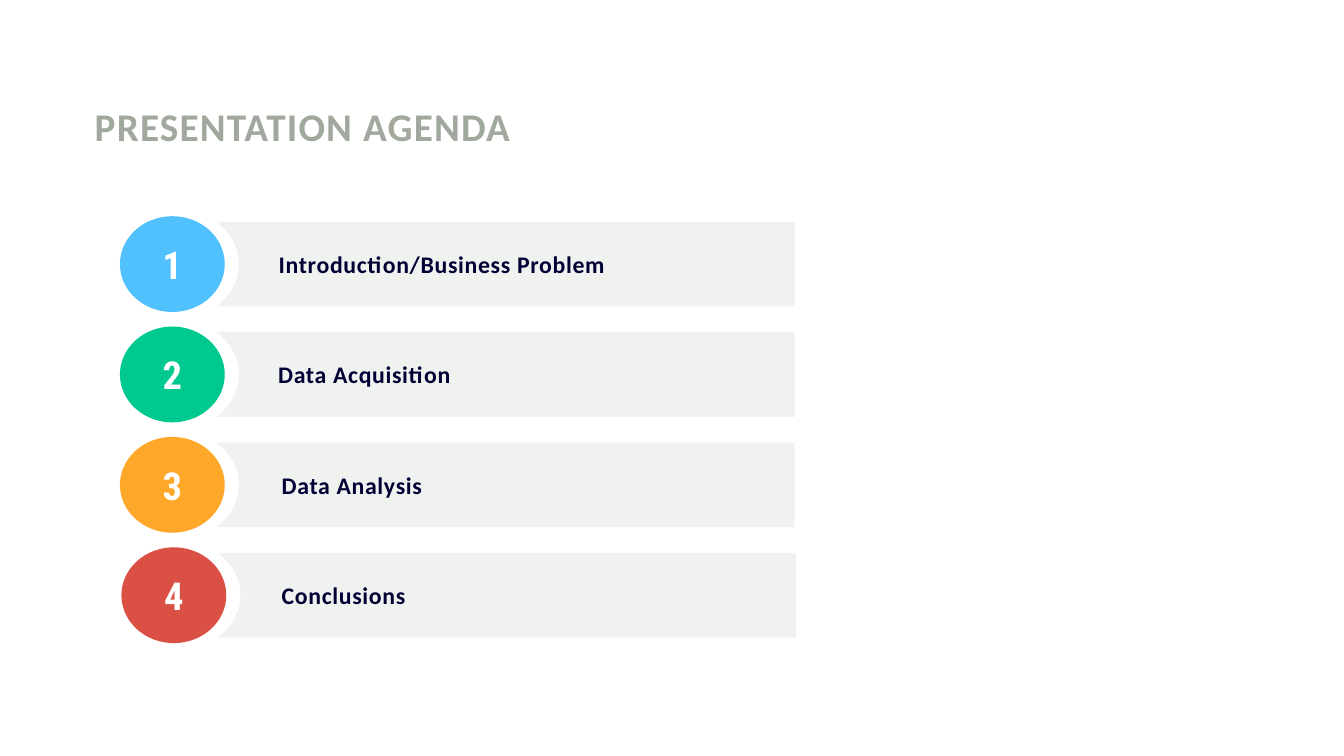
"""Build the presentation agenda slide with four numbered rows."""
from dataclasses import dataclass

from lxml import etree
from pptx import Presentation
from pptx.dml.color import RGBColor
from pptx.enum.shapes import MSO_SHAPE
from pptx.enum.text import MSO_ANCHOR, MSO_AUTO_SIZE, PP_ALIGN
from pptx.oxml.ns import qn
from pptx.shapes.autoshape import Shape
from pptx.slide import Slide
from pptx.util import Inches, Pt

RECTANGLE, OVAL = MSO_SHAPE.RECTANGLE, MSO_SHAPE.OVAL
LEFT, CENTER = PP_ALIGN.LEFT, PP_ALIGN.CENTER
MIDDLE = MSO_ANCHOR.MIDDLE
NO_AUTOFIT = MSO_AUTO_SIZE.NONE

COLORS = {
    "sage": "A1A99E",
    "white": "FFFFFF",
    "navy": "000034",
    "blue": "51C1FD",
    "green": "00C98F",
    "orange": "FFA728",
    "red": "DA5045",
}
FIRST_TOP = 4.12
ROW_PITCH = 2.19
BAR_OPACITY = 15
MARGIN = 0.06


@dataclass(frozen=True)
class TextStyle:
    font: str
    size: float
    color: str
    spacing: float
    align: PP_ALIGN = LEFT


@dataclass(frozen=True)
class AgendaItem:
    label: str
    color: str
    label_left: float
    shift: float = 0


TITLE = TextStyle("Calibri", 56, "sage", 1.7)
LABEL = TextStyle("Calibri", 34, "navy", 1)
NUMBER = TextStyle("Roboto Condensed", 55, "white", 3.3, CENTER)

AGENDA = [
    AgendaItem("Introduction/Business Problem", "blue", 5.47),
    AgendaItem("Data Acquisition", "green", 5.46),
    AgendaItem("Data Analysis", "orange", 5.53),
    AgendaItem("Conclusions", "red", 5.53, 0.03),
]


def write_text(box: Shape, text: str, style: TextStyle) -> None:
    """Write one bold, letter-spaced line into a shape."""
    frame = box.text_frame
    frame.word_wrap = True
    frame.auto_size = NO_AUTOFIT
    frame.vertical_anchor = MIDDLE
    frame.margin_left = frame.margin_right = Inches(MARGIN)
    frame.margin_top = frame.margin_bottom = Inches(MARGIN)
    para = frame.paragraphs[0]
    para.alignment = style.align
    para.font.name = style.font
    para.font.size = Pt(style.size)
    para.font.bold = True
    para.font.color.rgb = RGBColor.from_string(COLORS[style.color])
    span = para.add_run()
    span.text = text
    span._r.get_or_add_rPr().set("spc", str(round(style.spacing * 100)))


def add_filled(page: Slide, kind: MSO_SHAPE, left: float, top: float,
               width: float, height: float, color: str, opacity: int = 100) -> Shape:
    """Add a borderless shape with a solid fill."""
    shape = page.shapes.add_shape(
        kind, Inches(left), Inches(top), Inches(width), Inches(height))
    shape.shadow.inherit = False
    shape.fill.solid()
    shape.fill.fore_color.rgb = RGBColor.from_string(COLORS[color])
    shape.line.fill.background()
    if opacity < 100:
        tint = shape._element.spPr.find(f".//{qn('a:srgbClr')}")
        etree.SubElement(tint, qn("a:alpha")).set("val", str(opacity * 1000))
    return shape


def add_row(page: Slide, number: int, item: AgendaItem) -> None:
    """Add the bar, ringed number and label of one agenda item."""
    top = FIRST_TOP + (number - 1) * ROW_PITCH
    add_filled(page, RECTANGLE, 3.88 + item.shift, top + 0.28, 11.89, 1.68,
               "sage", BAR_OPACITY)
    add_filled(page, OVAL, 2.08 + item.shift, top, 2.66, 2.24, "white")
    badge = add_filled(page, OVAL, 2.38 + item.shift, top + 0.17, 2.08, 1.9, item.color)
    write_text(badge, str(number), NUMBER)
    label = page.shapes.add_textbox(
        Inches(item.label_left), Inches(top + 0.76), Inches(7.73), Inches(0.72))
    write_text(label, item.label, LABEL)


def main() -> None:
    """Create and save the deck."""
    deck = Presentation()
    deck.slide_width, deck.slide_height = Inches(26.67), Inches(15)
    page = deck.slides.add_slide(deck.slide_layouts[5])
    title = page.shapes.title
    title.left, title.top = Inches(1.82), Inches(1.95)
    title.width, title.height = Inches(15.16), Inches(1.1)
    write_text(title, "PRESENTATION AGENDA", TITLE)
    for number, item in enumerate(AGENDA, start=1):
        add_row(page, number, item)
    deck.save("out.pptx")


if __name__ == "__main__":
    main()
